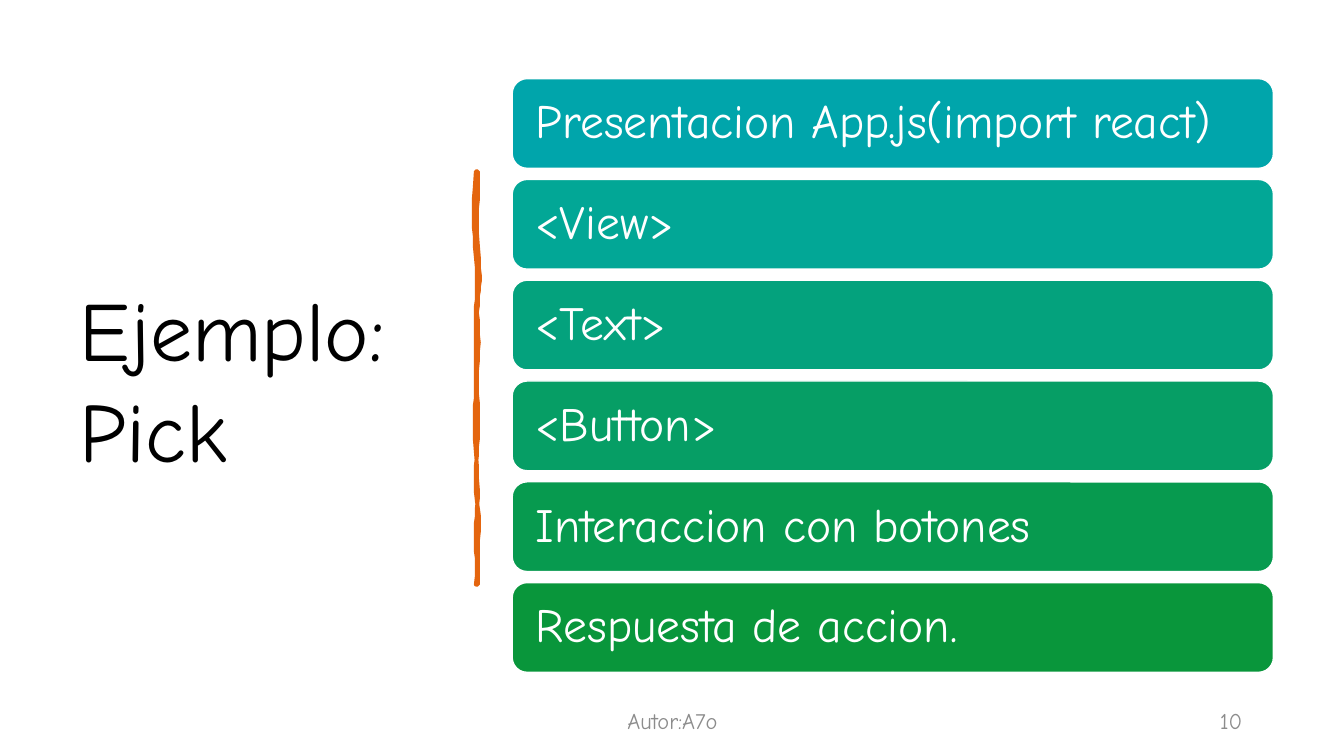
from pptx import Presentation
from pptx.dml.color import RGBColor
from pptx.enum.shapes import MSO_SHAPE
from pptx.enum.text import MSO_ANCHOR, MSO_AUTO_SIZE, PP_ALIGN
from pptx.util import Pt

PX = 9144  # 100 px to the inch
FONT = "Comic Neue"


def color(value):
    return RGBColor.from_string(value)


def write(shape, text, size, ink, align, margin=10, spacing=1.0):
    frame = shape.text_frame
    frame_format = {
        "word_wrap": True,
        "auto_size": MSO_AUTO_SIZE.NONE,
        "vertical_anchor": MSO_ANCHOR.MIDDLE,
        "margin_left": margin * PX,
        "margin_right": margin * PX,
    }
    for name, value in frame_format.items():
        setattr(frame, name, value)
    paragraph = frame.paragraphs[0]
    paragraph.text = text
    paragraph.alignment = align
    paragraph.line_spacing = spacing
    font = paragraph.runs[0].font
    for name, value in {"name": FONT, "size": Pt(size), "bold": False}.items():
        setattr(font, name, value)
    font.color.rgb = color(ink)


presentation = Presentation()
presentation.slide_width = 1333 * PX
presentation.slide_height = 750 * PX
slide = presentation.slides.add_slide(presentation.slide_layouts[5])

# Title
title = slide.shapes.title
title_place = {"left": 69, "top": 70, "width": 374, "height": 611}
for side, length in title_place.items():
    setattr(title, side, length * PX)
write(title, "Ejemplo: Pick", 60, "000000", PP_ALIGN.LEFT)

# Hand-drawn divider: each row holds two control points and the end of a curve
divider_start = (472, 170)
divider_curves = [
    [(473, 170), (473, 170), (474, 170)],
    [(476, 186), (471, 207), (474, 243)],
    [(477, 279), (475, 285), (474, 299)],
    [(472, 313), (476, 331), (474, 359)],
    [(471, 387), (476, 413), (474, 436)],
    [(472, 458), (471, 485), (474, 504)],
    [(477, 523), (472, 548), (474, 580)],
    [(473, 580), (473, 580), (472, 580)],
    [(474, 554), (471, 536), (472, 524)],
    [(473, 513), (475, 483), (472, 448)],
    [(469, 413), (472, 406), (472, 375)],
    [(471, 345), (472, 341), (472, 319)],
    [(472, 298), (474, 285), (472, 255)],
    [(470, 226), (469, 212), (472, 170)],
]
STEPS = 8
outline = []
start = divider_start
for first, second, end in divider_curves:
    for step in range(1, STEPS + 1):
        t = step / STEPS
        weights = ((1 - t) ** 3, 3 * t * (1 - t) ** 2, 3 * t ** 2 * (1 - t), t ** 3)
        corners = (start, first, second, end)
        outline.append(tuple(
            sum(weight * corner[axis] for weight, corner in zip(weights, corners))
            for axis in (0, 1)
        ))
    start = end
builder = slide.shapes.build_freeform(*divider_start, scale=PX)
builder.add_line_segments(outline, close=True)
divider = builder.convert_to_shape()
divider.shadow.inherit = False
divider.fill.solid()
divider.fill.fore_color.rgb = color("E4650E")
divider.line.color.rgb = color("E4650E")
divider.line.width = Pt(2.75)

# Stack of steps
steps = [
    ("Presentacion App.js(import react)", "00A5AB"),
    ("<View>", "02A796"),
    ("<Text>", "04A27D"),
    ("<Button>", "069E65"),
    ("Interaccion con botones", "079A4F"),
    ("Respuesta de accion.", "09963B"),
]
for row, (text, fill) in enumerate(steps):
    bar = slide.shapes.add_shape(
        MSO_SHAPE.ROUNDED_RECTANGLE, 508 * PX, (78 + 100 * row) * PX, 755 * PX, 89 * PX
    )
    bar.shadow.inherit = False
    bar.fill.solid()
    bar.fill.fore_color.rgb = color(fill)
    bar.line.color.rgb = color("FFFFFF")
    bar.line.width = Pt(1)
    write(bar, text, 34, "FFFFFF", PP_ALIGN.LEFT, margin=19, spacing=0.9)

# Footer and slide number
footers = [
    ("Autor:A7o", 442, 450, PP_ALIGN.CENTER),
    ("10", 942, 300, PP_ALIGN.RIGHT),
]
for text, left, width, align in footers:
    box = slide.shapes.add_textbox(left * PX, 695 * PX, width * PX, 40 * PX)
    write(box, text, 16, "8C8C8C", align)

presentation.save("out.pptx")
